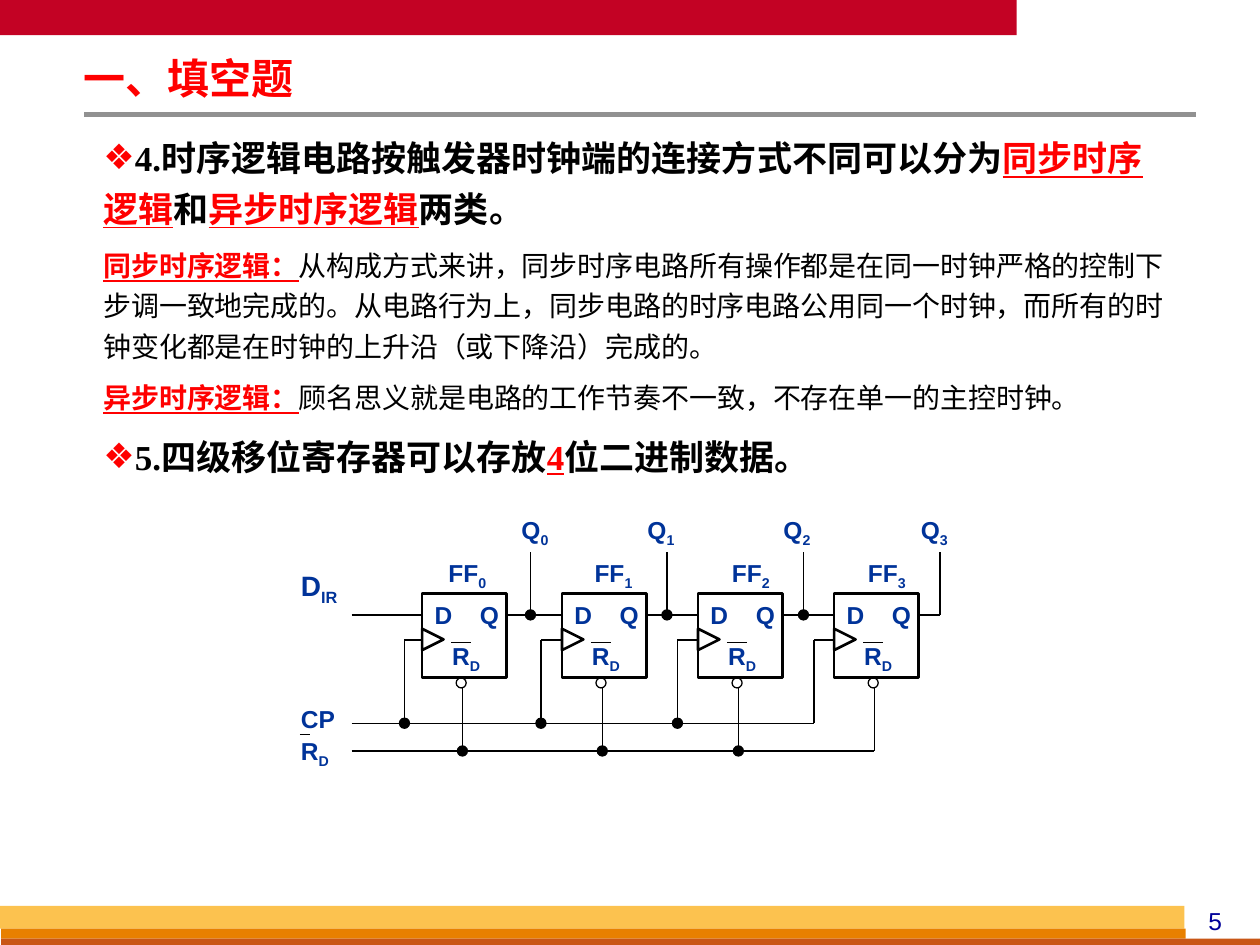
from lxml.etree import SubElement
from pptx import Presentation
from pptx.dml.color import RGBColor
from pptx.enum.lang import MSO_LANGUAGE_ID
from pptx.enum.shapes import MSO_CONNECTOR, MSO_SHAPE
from pptx.enum.text import MSO_ANCHOR, MSO_AUTO_SIZE, PP_ALIGN
from pptx.oxml.ns import qn
from pptx.util import Inches, Pt

COLORS = {
    "crimson": "C30224", "gray": "919191", "gold": "FCC24F", "orange": "E88000",
    "rust": "C95616", "red": "FF0000", "black": "000000", "label": "003399",
    "number": "000099",
}
HEADING = {"name": "Times New Roman", "size": Pt(24), "bold": True}
QUESTION = {"name": "Times New Roman", "size": Pt(20), "bold": True}
ANSWER = {**QUESTION, "underline": True}
TERM = {**ANSWER, "size": Pt(16)}
DETAIL = {"name": "Times New Roman", "size": Pt(16), "bold": False}
LABEL = {"name": "Arial", "size": Pt(14), "bold": True}
INPUT_LABEL = {**LABEL, "size": Pt(16)}
PAGE_NUMBER = {"name": "Arial", "size": Pt(14)}
LISTING = [
    (True, [("4.时序逻辑电路按触发器时钟端的连接方式不同可以分为", QUESTION, "black"),
            ("同步时序逻辑", ANSWER, "red"), ("和", QUESTION, "black"),
            ("异步时序逻辑", ANSWER, "red"), ("两类。", QUESTION, "black")]),
    (False, [("同步时序逻辑：", TERM, "red"),
             ("从构成方式来讲，同步时序电路所有操作都是在同一时钟严格的控制下"
              "步调一致地完成的。从电路行为上，同步电路的时序电路公用同一个时钟，"
              "而所有的时钟变化都是在时钟的上升沿（或下降沿）完成的。", DETAIL, "black")]),
    (False, [("异步时序逻辑：", TERM, "red"),
             ("顾名思义就是电路的工作节奏不一致，不存在单一的主控时钟。", DETAIL, "black")]),
    (True, [("5.四级移位寄存器可以存放", QUESTION, "black"), ("4", ANSWER, "red"),
            ("位二进制数据。", QUESTION, "black")]),
]
STAGES = [(1.06, 1.17, 1.75), (2.17, 2.33, 2.75), (3.25, 3.42, 3.83), (4.33, 4.5, 4.92)]
CELL = 0.67
PITCH = 13 / 12


def rgb(name):
    """Return the named colour."""
    return RGBColor.from_string(COLORS[name])


def add_span(para, text, formats, color):
    """Append a formatted run to a paragraph."""
    span = para.add_run()
    span.text = text
    for key, value in formats.items():
        setattr(span.font, key, value)
    span.font.color.rgb = rgb(color)
    return span


def add_block(shapes, kind, box, fill=None, line=None, width=0.75):
    """Add a preset shape in the box, filled or outlined as asked."""
    block = shapes.add_shape(kind, *map(Inches, box))
    block.shadow.inherit = False
    if fill:
        block.fill.solid()
        block.fill.fore_color.rgb = rgb(fill)
    else:
        block.fill.background()
    if line:
        block.line.color.rgb = rgb(line)
        block.line.width = Pt(width)
    else:
        block.line.fill.background()
    return block


def add_wire(shapes, start, end, color="black", width=0.75):
    """Add a straight line between two points."""
    wire = shapes.add_connector(MSO_CONNECTOR.STRAIGHT, *map(Inches, (*start, *end)))
    wire.line.color.rgb = rgb(color)
    wire.line.width = Pt(width)
    SubElement(wire._element.spPr, qn("a:effectLst"))


def add_dot(shapes, x, y, fill=None):
    """Add a small circle centred on a point."""
    add_block(shapes, MSO_SHAPE.OVAL, (x - 0.04, y - 0.04, 0.08, 0.08), fill, "black")


def add_label(shapes, box, text, subscript="", formats=LABEL, color="label",
              align=PP_ALIGN.JUSTIFY):
    """Add a text box with an optional subscript."""
    label = shapes.add_textbox(*map(Inches, box))
    label.text_frame.word_wrap = True
    para = label.text_frame.paragraphs[0]
    para.alignment = align
    add_span(para, text, formats, color)
    if subscript:
        span = add_span(para, subscript, formats, color)
        span.font._element.set("baseline", "-25000")


def prepare_frame(holder, box, anchor):
    """Place a placeholder in the box and return its text frame."""
    holder.left, holder.top, holder.width, holder.height = map(Inches, box)
    frame = holder.text_frame
    settings = {
        "margin_left": Inches(0.07), "margin_right": Inches(0.07),
        "margin_top": Inches(0.03), "margin_bottom": Inches(0.03),
        "word_wrap": True, "auto_size": MSO_AUTO_SIZE.NONE, "vertical_anchor": anchor,
    }
    for key, value in settings.items():
        setattr(frame, key, value)
    return frame


def fill_title(holder, box):
    """Write the section heading."""
    para = prepare_frame(holder, box, MSO_ANCHOR.MIDDLE).paragraphs[0]
    para.alignment = PP_ALIGN.LEFT
    para.line_spacing = 0.87
    add_span(para, "一、填空题", HEADING, "red")


def fill_body(holder, box):
    """Write the questions with their answers and explanations."""
    frame = prepare_frame(holder, box, MSO_ANCHOR.TOP)
    for index, (bulleted, spans) in enumerate(LISTING):
        para = frame.add_paragraph() if index else frame.paragraphs[0]
        para.line_spacing = 1.2
        para.space_before = para.space_after = int(spans[0][1]["size"] * 0.2)
        properties = para._p.get_or_add_pPr()
        properties.set("marL", "0")
        properties.set("indent", "0")
        if bulleted:
            color = SubElement(properties, qn("a:buClr"))
            SubElement(color, qn("a:srgbClr")).set("val", COLORS["red"])
            SubElement(properties, qn("a:buChar")).set("char", "❖")
        else:
            SubElement(properties, qn("a:buNone"))
        for text, formats, color in spans:
            span = add_span(para, text, formats, color)
            span.font.language_id = MSO_LANGUAGE_ID.SIMPLIFIED_CHINESE


def draw_frame(shapes, width, height):
    """Draw the page bands, the heading rule and the page number."""
    bands = [
        ((0, 0, 8.07, 0.28), "crimson"),
        ((0, height - 0.31, 9.4, 0.18), "gold"),
        ((0.01, height - 0.13, 9.4, 0.08), "orange"),
        ((0.01, height - 0.05, width - 0.01, 0.05), "rust"),
    ]
    for box, color in bands:
        add_block(shapes, MSO_SHAPE.RECTANGLE, box, color)
    add_wire(shapes, (0.67, 0.91), (9.49, 0.91), "gray", 3)
    add_label(shapes, (width - 0.67, height - 0.36, 0.63, 0.33), "5",
              formats=PAGE_NUMBER, color="number", align=PP_ALIGN.CENTER)


def draw_flip_flop(shapes, left, top):
    """Draw one D flip-flop with its clock and reset inputs."""
    add_block(shapes, MSO_SHAPE.RECTANGLE, (left, top, CELL, CELL), None, "black", 1.5)
    clock = add_block(shapes, MSO_SHAPE.ISOSCELES_TRIANGLE,
                      (left, top + 0.28, 0.17, 0.17), None, "black", 1.5)
    clock.rotation = 90
    add_label(shapes, (left, top, 0.42, 0.34), "D")
    add_label(shapes, (left + 0.36, top, 0.42, 0.34), "Q")
    add_label(shapes, (left + 0.14, top + 0.33, 0.5, 0.34), "R", "D")
    add_wire(shapes, (left + 0.23, top + 0.39), (left + 0.39, top + 0.39))
    add_dot(shapes, left + 0.31, top + CELL + 0.04)


def draw_register(shapes, left, top):
    """Draw the four-stage shift register from its top left corner."""
    data, clock, clock_bus, reset_bus = (top + y for y in (0.84, 1.04, 1.7, 1.92))
    start = left + 0.5
    wire_start = start
    for index, (cell_x, name_x, output_x) in enumerate(STAGES):
        cell = left + cell_x
        tap = left + 1.92 + index * PITCH
        drop = tap - 1
        reset = cell + 0.32
        draw_flip_flop(shapes, cell, top + 0.67)
        add_label(shapes, (left + name_x, top + 0.34, 0.58, 0.34), "FF", str(index))
        add_label(shapes, (left + output_x, top, 0.5, 0.34), "Q", str(index))
        add_wire(shapes, (wire_start, data), (cell, data))
        add_wire(shapes, (tap, data), (tap, top + 0.34))
        add_wire(shapes, (cell, clock), (drop, clock))
        add_wire(shapes, (drop, clock), (drop, clock_bus))
        add_wire(shapes, (reset, top + 1.42), (reset, reset_bus))
        if index < len(STAGES) - 1:
            for x, y in ((tap, data), (drop, clock_bus), (reset, reset_bus)):
                add_dot(shapes, x, y, "black")
        wire_start = cell + CELL
    add_wire(shapes, (wire_start, data), (tap, data))
    add_wire(shapes, (start, clock_bus), (drop, clock_bus))
    add_wire(shapes, (start, reset_bus), (reset, reset_bus))
    add_label(shapes, (left, top + 0.42, 0.75, 0.37), "D", "IR", INPUT_LABEL)
    add_label(shapes, (left, top + 1.5, 0.58, 0.34), "CP")
    add_label(shapes, (left, top + 1.75, 0.58, 0.34), "R", "D")
    add_wire(shapes, (left + 0.09, top + 1.79), (left + 0.17, top + 1.79))


def main():
    """Build and save the deck."""
    deck = Presentation()
    deck.slide_width, deck.slide_height = Inches(10), Inches(7.5)
    page = deck.slides.add_slide(deck.slide_layouts[1])
    draw_frame(page.shapes, 10, 7.5)
    fill_title(page.shapes.title, (0.59, 0.44, 5.75, 0.41))
    fill_body(page.placeholders[1], (0.75, 0.99, 8.58, 6.14))
    draw_register(page.shapes.add_group_shape().shapes, 2.29, 4.04)
    deck.save("out.pptx")


if __name__ == "__main__":
    main()
